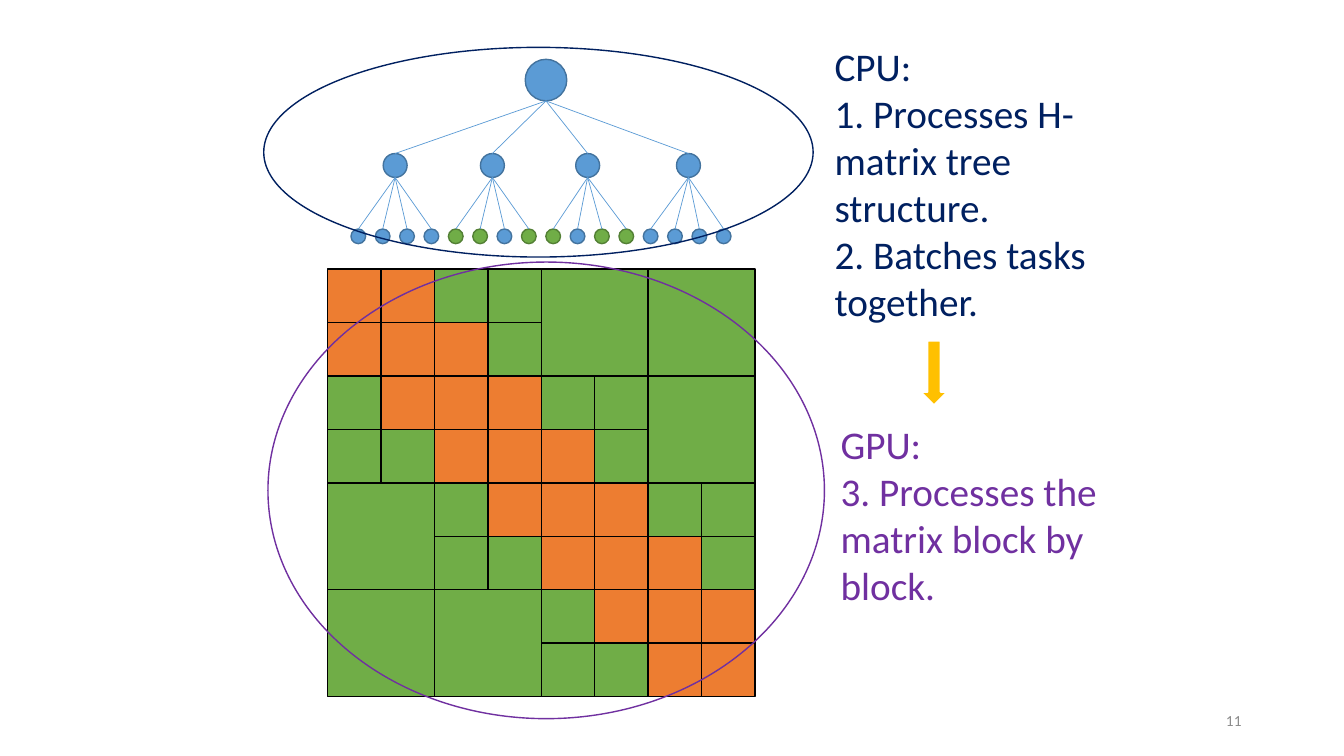
from itertools import product

from lxml import etree
from pptx import Presentation
from pptx.dml.color import RGBColor
from pptx.enum.shapes import MSO_CONNECTOR as CONN, MSO_SHAPE as SHAPE
from pptx.enum.text import MSO_ANCHOR as ANCHOR, MSO_AUTO_SIZE as FIT, PP_ALIGN as ALIGN
from pptx.oxml.ns import qn
from pptx.util import Inches, Pt

SLIDE_W, SLIDE_H = Inches(13.33), Inches(7.5)
COLS, ROWS = 160, 90
COLORS = {
    "blue": "5B9BD5", "blue_edge": "43739E",
    "green": "70AD47", "green_edge": "538035",
    "orange": "ED7D31", "gold": "FFC000",
    "navy": "002060", "purple": "7030A0",
    "black": "000000", "white": "FFFFFF", "gray": "8C8C8C",
}
BRANCH_X = [47.04, 58.62, 69.96, 81.96]
LEAVES = "BBBBGGBGGBGGBBBB"
MATRIX_X, MATRIX_Y, CELL = 39, 32.05, 6.36


def rgb(name):
    return RGBColor.from_string(COLORS[name])


def col(n):
    return round(SLIDE_W * n / COLS)


def row(n):
    return round(SLIDE_H * n / ROWS)


def box(x, y, w, h):
    return col(x), row(y), col(w), row(h)


def add_shape(shapes, kind, area, fill, edge, width=1):
    sp = shapes.add_shape(kind, *box(*area))
    sp.shadow.inherit = False
    if fill:
        sp.fill.solid()
        sp.fill.fore_color.rgb = rgb(fill)
    else:
        sp.fill.background()
    sp.line.color.rgb = rgb(edge)
    sp.line.width = Pt(width)


def add_node(shapes, x, y, d, color="blue"):
    area = (x - d / 2, y - d / 2, d, d)
    add_shape(shapes, SHAPE.OVAL, area, color, color + "_edge")


def add_edge(shapes, x1, y1, x2, y2):
    line = shapes.add_connector(CONN.STRAIGHT, col(x1), row(y1), col(x2), row(y2))
    line.line.color.rgb = rgb("blue")
    line.line.width = Pt(0.5)
    etree.SubElement(line._element.spPr, qn("a:effectLst"))


def add_run(p, text, size, color):
    r = p.add_run()
    r.text = text
    r.font.name = "Calibri"
    r.font.size = Pt(size)
    r.font.color.rgb = rgb(color)


def fill_list(sp, area, lines, color):
    sp.left, sp.top, sp.width, sp.height = box(*area)
    tf = sp.text_frame
    tf.word_wrap = True
    tf.auto_size = FIT.SHAPE_TO_FIT_TEXT
    tf.vertical_anchor = ANCHOR.TOP
    for i, text in enumerate(lines):
        p = tf.add_paragraph() if i else tf.paragraphs[0]
        p.space_before = Pt(0)
        pPr = p._p.get_or_add_pPr()
        pPr.set("marL", "0")
        pPr.set("indent", "0")
        etree.SubElement(pPr, qn("a:buNone"))
        add_run(p, text, 28, color)


def add_tree(slide):
    shapes = slide.shapes.add_group_shape().shapes
    root_x, root_y, root_d = 65, 9.54, 4.95
    branch_y, branch_d = 19.7, 2.85
    leaf_y, leaf_d = 28.14, 1.75
    leaf_x = [42.66 + 2.9 * i for i in range(len(LEAVES))]

    add_node(shapes, root_x, root_y, root_d)
    for x in BRANCH_X:
        add_node(shapes, x, branch_y, branch_d)
    for x, kind in zip(leaf_x, LEAVES):
        add_node(shapes, x, leaf_y, leaf_d, "green" if kind == "G" else "blue")
    for i, x in enumerate(leaf_x):
        add_edge(shapes, BRANCH_X[i // 4], branch_y + branch_d / 2, x, leaf_y - leaf_d / 2)
    for x in BRANCH_X:
        add_edge(shapes, root_x, root_y + root_d / 2, x, branch_y - branch_d / 2)


def add_block(shapes, r, c, span, color):
    area = (MATRIX_X + c * CELL, MATRIX_Y + r * CELL, span * CELL, span * CELL)
    add_shape(shapes, SHAPE.RECTANGLE, area, color, "black")


def add_matrix(slide):
    shapes = slide.shapes.add_group_shape().shapes
    for r, c in product(range(0, 8, 2), repeat=2):
        if abs(r - c) > 2:
            add_block(shapes, r, c, 2, "green")
            continue
        for i, j in product((r, r + 1), (c, c + 1)):
            add_block(shapes, i, j, 1, "orange" if abs(i - j) <= 1 else "green")


def add_page_number(slide, text):
    tf = slide.shapes.add_textbox(*box(113, 83.4, 36, 4.8)).text_frame
    tf.word_wrap = True
    tf.vertical_anchor = ANCHOR.MIDDLE
    p = tf.paragraphs[0]
    p.alignment = ALIGN.RIGHT
    add_run(p, text, 11, "gray")


def main():
    prs = Presentation()
    prs.slide_width, prs.slide_height = SLIDE_W, SLIDE_H
    slide = prs.slides.add_slide(prs.slide_layouts[3])
    title, cpu, gpu = list(slide.placeholders)[:3]
    title._element.getparent().remove(title._element)

    fill_list(cpu, (98.16, 4.44, 33, 35.16),
              ["CPU:", "1. Processes H-matrix tree structure.", "2. Batches tasks together."],
              "navy")
    fill_list(gpu, (98.88, 49.44, 33, 23.88),
              ["GPU:", "3. Processes the matrix block by block."], "purple")
    add_tree(slide)
    add_shape(slide.shapes, SHAPE.OVAL, (31.4, 5.64, 65.4, 24.96), None, "navy")
    add_matrix(slide)
    add_shape(slide.shapes, SHAPE.OVAL, (31.9, 31.2, 66.25, 54.36), None, "purple")
    add_shape(slide.shapes, SHAPE.DOWN_ARROW, (109.6, 40.56, 3.2, 7.7), "gold", "white", 1.5)
    add_page_number(slide, "11")
    prs.save("out.pptx")


main()
